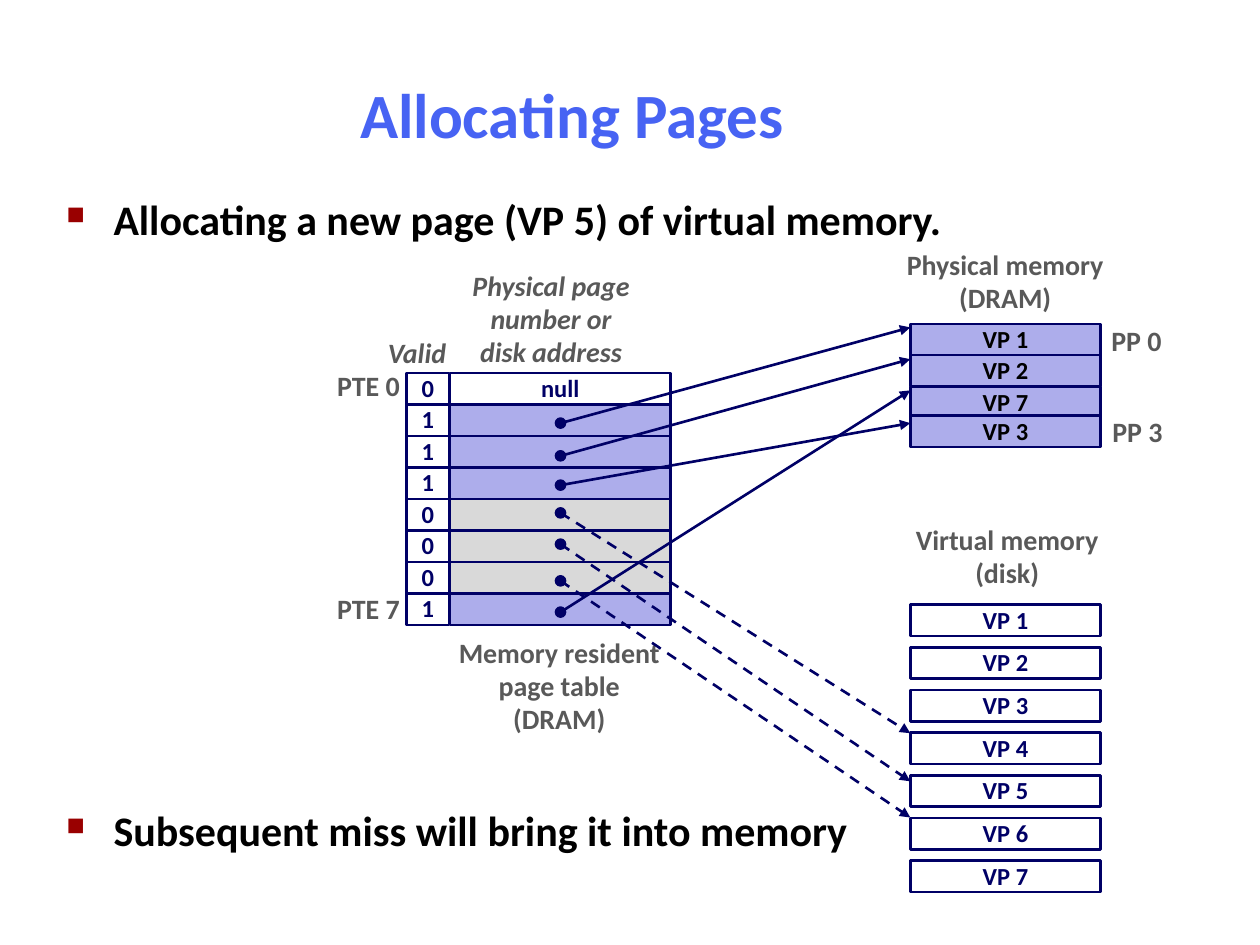
from lxml import etree
from pptx import Presentation
from pptx.dml.color import RGBColor
from pptx.enum.dml import MSO_LINE
from pptx.enum.shapes import MSO_CONNECTOR, MSO_SHAPE
from pptx.enum.text import MSO_ANCHOR, MSO_AUTO_SIZE, PP_ALIGN
from pptx.oxml.ns import qn
from pptx.util import Cm, Pt

LEFT, CENTER, RIGHT = PP_ALIGN.LEFT, PP_ALIGN.CENTER, PP_ALIGN.RIGHT
TOP, MIDDLE = MSO_ANCHOR.TOP, MSO_ANCHOR.MIDDLE
RECTANGLE, OVAL = MSO_SHAPE.RECTANGLE, MSO_SHAPE.OVAL
STRAIGHT = MSO_CONNECTOR.STRAIGHT
DASH = MSO_LINE.DASH
NO_AUTOFIT = MSO_AUTO_SIZE.NONE

COLORS = {
    "title": "4763F3",
    "body": "000000",
    "bullet": "990000",
    "label": "595959",
    "navy": "000066",
    "cached": "ADADEB",
    "on_disk": "D9D9D9",
    "empty": "FFFFFF",
}

# Page table rows: valid bit, fill, text, dot height, arrow end height
PAGE_TABLE = [
    ("0", "empty", "null", None, None),
    ("1", "cached", "", 8.53, 6.60),
    ("1", "cached", "", 9.19, 7.24),
    ("1", "cached", "", 9.78, 8.53),
    ("0", "on_disk", "", 10.34, 14.78),
    ("0", "on_disk", "", 10.97, 15.75),
    ("0", "on_disk", "", 11.71, 16.48),
    ("1", "cached", "", 12.34, 7.87),
]
TABLE_TOP, TABLE_HEIGHT = 7.52, 5.08
ROW_HEIGHT = TABLE_HEIGHT / len(PAGE_TABLE)
VALID_LEFT, VALID_WIDTH = 8.20, 0.85
ADDRESS_LEFT, ADDRESS_WIDTH = 9.07, 4.45
DOT_X = 11.3

PHYSICAL_PAGES = [("VP 1", 6.53), ("VP 2", 7.16), ("VP 7", 7.80), ("VP 3", 8.38)]
MEMORY_LEFT, MEMORY_WIDTH = 18.35, 3.84
DISK_TOP, DISK_STEP, DISK_PAGES = 12.19, 0.86, 7

# Text, left, top, width, height, alignment, italic
LABELS = [
    ("Valid", 7.57, 6.68, 1.90, 0.91, LEFT, True),
    ("Physical page\nnumber or\ndisk address", 9.27, 5.33, 3.68, 2.26, CENTER, True),
    ("PTE 0", 6.53, 7.34, 1.78, 0.91, RIGHT, False),
    ("PTE 7", 6.53, 11.84, 1.78, 0.91, RIGHT, False),
    ("Memory resident\npage table\n(DRAM)", 8.99, 12.73, 4.57, 2.26, CENTER, False),
    ("Physical memory\n(DRAM)", 18.03, 4.90, 4.47, 1.57, CENTER, False),
    ("PP 0", 22.15, 6.43, 1.52, 0.91, CENTER, False),
    ("PP 3", 22.17, 8.26, 1.52, 0.91, CENTER, False),
    ("Virtual memory\n(disk)", 18.21, 10.44, 4.19, 1.57, CENTER, False),
]


class SlideBuilder:
    font_name = "Calibri"
    line_width = 1.5

    def __init__(self, slide):
        self.slide = slide

    def color(self, name):
        return RGBColor.from_string(COLORS[name])

    def style(self, paragraph, size, color, align=LEFT, italic=False):
        paragraph.alignment = align
        font = paragraph.font
        font.name, font.size = self.font_name, Pt(size)
        font.bold, font.italic = True, italic
        font.color.rgb = self.color(color)

    def set_text(self, shape, text, size, color, align=CENTER, anchor=MIDDLE, italic=False):
        frame = shape.text_frame
        frame.text = text
        frame.word_wrap = False
        frame.vertical_anchor = anchor
        for paragraph in frame.paragraphs:
            self.style(paragraph, size, color, align, italic)
            paragraph.line_spacing = 0.98

    def title(self, text, left, top, width, height):
        title = self.slide.shapes.title
        title.left, title.top = Cm(left), Cm(top)
        title.width, title.height = Cm(width), Cm(height)
        frame = title.text_frame
        frame.text = text
        frame.auto_size = NO_AUTOFIT
        frame.vertical_anchor = MIDDLE
        self.style(frame.paragraphs[0], 36, "title", CENTER)

    def bullets(self, items, left, top, width, height):
        """Add square-bulleted lines, given as (text, points of space before)."""
        box = self.slide.shapes.add_textbox(Cm(left), Cm(top), Cm(width), Cm(height))
        frame = box.text_frame
        frame.word_wrap = True
        frame.text = "\n".join(text for text, _ in items)
        for paragraph, (_, space) in zip(frame.paragraphs, items):
            self.style(paragraph, 24, "body")
            paragraph.space_before = Pt(space)
            properties = paragraph._p.get_or_add_pPr()
            properties.set("marL", str(Cm(0.95)))
            properties.set("indent", str(Cm(-0.95)))
            marker_color = etree.Element(qn("a:buClr"))
            etree.SubElement(marker_color, qn("a:srgbClr"), val=COLORS["bullet"])
            marker_size = etree.Element(qn("a:buSzPct"), val="60000")
            marker = etree.Element(qn("a:buChar"), char="■")
            position = properties.index(properties.find(qn("a:spcBef"))) + 1
            properties[position:position] = [marker_color, marker_size, marker]

    def label(self, text, left, top, width, height, align, italic):
        box = self.slide.shapes.add_textbox(Cm(left), Cm(top), Cm(width), Cm(height))
        self.set_text(box, text, 16, "label", align, TOP, italic)

    def shape(self, preset, left, top, width, height, fill, line_width):
        shape = self.slide.shapes.add_shape(preset, Cm(left), Cm(top), Cm(width), Cm(height))
        shape.shadow.inherit = False
        shape.fill.solid()
        shape.fill.fore_color.rgb = self.color(fill)
        shape.line.color.rgb = self.color("navy")
        shape.line.width = Pt(line_width)
        return shape

    def cell(self, text, left, top, width, fill, text_color="navy"):
        cell = self.shape(RECTANGLE, left, top, width, ROW_HEIGHT, fill, self.line_width)
        if text:
            self.set_text(cell, text, 14, text_color)

    def dot(self, x, y, diameter=0.2):
        radius = diameter / 2
        self.shape(OVAL, x - radius, y - radius, diameter, diameter, "navy", 1)

    def arrow(self, x1, y1, x2, y2, dashed):
        arrow = self.slide.shapes.add_connector(STRAIGHT, Cm(x1), Cm(y1), Cm(x2), Cm(y2))
        arrow.line.color.rgb = self.color("navy")
        arrow.line.width = Pt(self.line_width)
        if dashed:
            arrow.line.dash_style = DASH
        properties = arrow._element.spPr
        etree.SubElement(properties.find(qn("a:ln")), qn("a:tailEnd"), type="triangle")
        etree.SubElement(properties, qn("a:effectLst"))


def main():
    deck = Presentation()
    deck.slide_width, deck.slide_height = Cm(25.4), Cm(19.05)
    builder = SlideBuilder(deck.slides.add_slide(deck.slide_layouts[5]))

    builder.title("Allocating Pages", 0.99, 1.22, 21.08, 2.11)
    builder.bullets(
        [
            ("Allocating a new page (VP 5) of virtual memory.", 6),
            ("Subsequent miss will bring it into memory", 320),
        ],
        1.09, 3.78, 21.95, 13.82,
    )

    for row, (valid, fill, text, _, _) in enumerate(PAGE_TABLE):
        top = TABLE_TOP + row * ROW_HEIGHT
        builder.cell(text, ADDRESS_LEFT, top, ADDRESS_WIDTH, fill)
        builder.cell(valid, VALID_LEFT, top, VALID_WIDTH, "empty")
    for page, top in PHYSICAL_PAGES:
        builder.cell(page, MEMORY_LEFT, top, MEMORY_WIDTH, "cached", "body")
    for index in range(DISK_PAGES):
        top = DISK_TOP + index * DISK_STEP
        builder.cell(f"VP {index + 1}", MEMORY_LEFT, top, MEMORY_WIDTH, "empty")

    for label in LABELS:
        builder.label(*label)

    for valid, _, _, dot_y, target_y in PAGE_TABLE:
        if dot_y is not None:
            builder.arrow(DOT_X, dot_y, MEMORY_LEFT, target_y, dashed=valid == "0")
            builder.dot(DOT_X, dot_y)

    deck.save("out.pptx")


if __name__ == "__main__":
    main()
